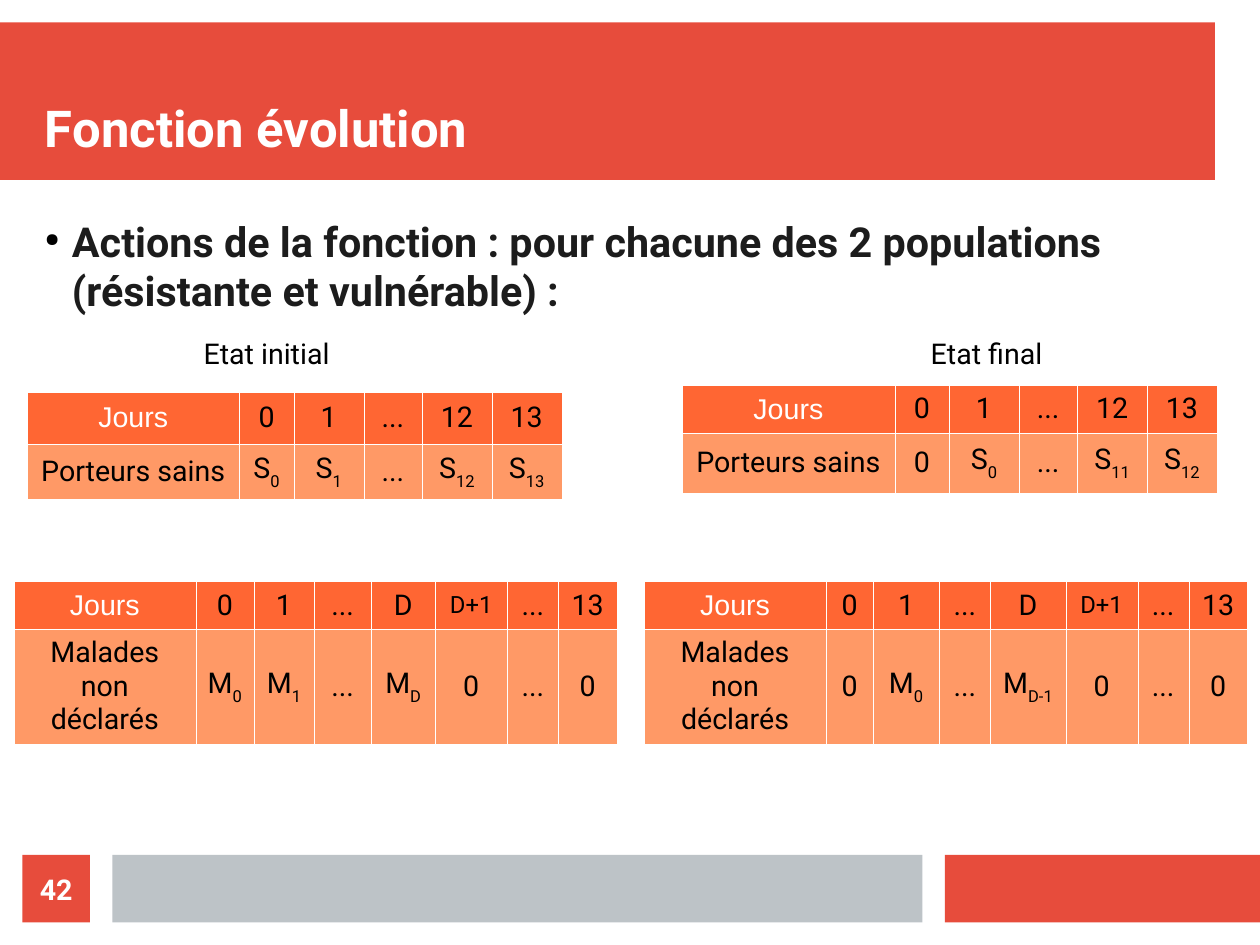
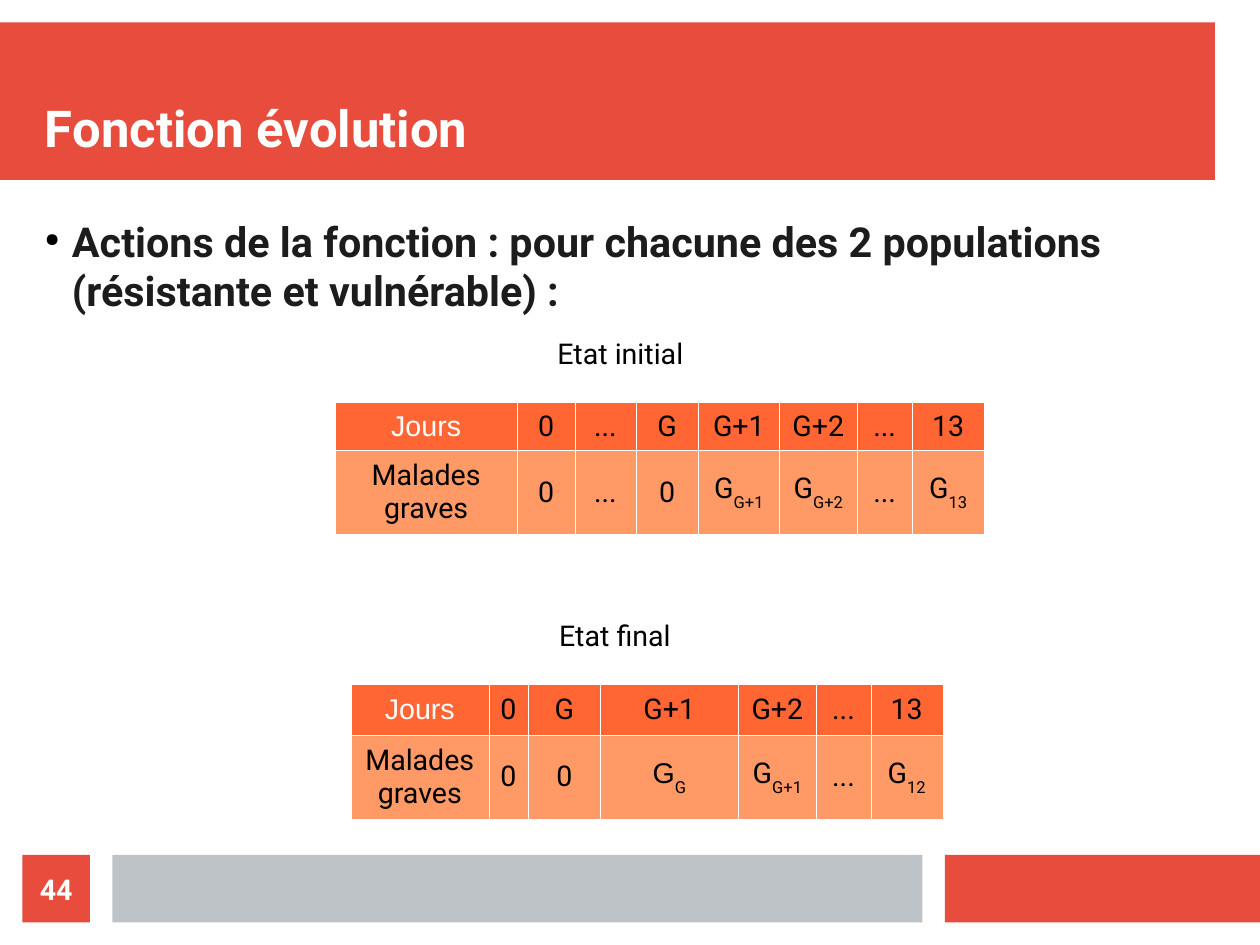
from lxml.etree import SubElement
from pptx import Presentation
from pptx.dml.color import RGBColor
from pptx.enum.shapes import MSO_SHAPE
from pptx.enum.text import MSO_ANCHOR, MSO_AUTO_SIZE, PP_ALIGN
from pptx.oxml.ns import qn
from pptx.util import Cm, Inches, Pt

RED = RGBColor(0xE7, 0x4C, 0x3C)
GREY = RGBColor(0xBD, 0xC3, 0xC7)
ORANGE = RGBColor(0xFF, 0x66, 0x33)
PEACH = RGBColor(0xFF, 0x99, 0x66)
INK = RGBColor(0x1C, 0x1C, 0x1C)
BLACK = RGBColor(0, 0, 0)
WHITE = RGBColor(0xFF, 0xFF, 0xFF)

COLUMNS, ROWS = 28, 21
FOOT_ROW, FOOT_HEIGHT = 19, 1.5
BANDS = [
    (0, 0.5, 27, 3.5, RED),
    (21, FOOT_ROW, 7, FOOT_HEIGHT, RED),
    (2.5, FOOT_ROW, 18, FOOT_HEIGHT, GREY),
]
TITLE = "Fonction évolution"
ACTIONS = "Actions de la fonction : pour chacune des 2 populations (résistante et vulnérable) :"
CARRIER_COLUMNS = [4.72, 1.21, 1.55, 1.3, 1.55, 1.55]
CARRIER_DAYS = ["Jours", "0", "1", "...", "12", "13"]
SICK_DAYS = ["Jours", "0", "1", "...", "D", "D+1", "...", "13"]


class Deck:
    heading_font = "Arial"
    text_font = "Roboto"

    def __init__(self):
        self.presentation = Presentation()
        self.presentation.slide_width = Cm(COLUMNS)
        self.presentation.slide_height = Cm(ROWS)
        self.layout = self.presentation.slide_layouts[5]
        self.slide = None

    def x(self, columns):
        return round(self.presentation.slide_width * columns / COLUMNS)

    def y(self, rows):
        return round(self.presentation.slide_height * rows / ROWS)

    def box(self, left, top, width, height):
        return self.x(left), self.y(top), self.x(width), self.y(height)

    def style(self, paragraph, size, color, bold=False, align=PP_ALIGN.CENTER):
        paragraph.alignment = align
        for run in paragraph.runs:
            run.font.name = self.text_font
            run.font.size = Pt(size)
            run.font.bold = bold
            run.font.color.rgb = color

    def frame(self, shape, text, anchor=MSO_ANCHOR.TOP, margins=(0, 0)):
        frame = shape.text_frame
        frame.text = text
        frame.word_wrap = True
        frame.auto_size = MSO_AUTO_SIZE.NONE
        frame.vertical_anchor = anchor
        frame.margin_left = frame.margin_right = Inches(margins[0])
        frame.margin_top = frame.margin_bottom = Inches(margins[1])
        return frame

    def start_slide(self, number):
        first = self.slide is None
        self.slide = self.presentation.slides.add_slide(self.layout)
        if first:
            self.share_bands()
        self.title()
        self.actions()
        self.page_number(number)

    def share_bands(self):
        for placeholder in list(self.layout.placeholders)[1:]:
            self.layout.shapes.element.remove(placeholder.element)
        bands = [self.band(*band) for band in BANDS]
        for band in bands:
            self.layout.shapes.element.append(band.element)

    def band(self, left, top, width, height, color):
        band = self.slide.shapes.add_shape(
            MSO_SHAPE.RECTANGLE, *self.box(left, top, width, height))
        band.shadow.inherit = False
        band.fill.solid()
        band.fill.fore_color.rgb = color
        band.line.fill.background()
        return band

    def title(self):
        title = self.slide.shapes.title
        title.left, title.top, title.width, title.height = self.box(1, 1, 26, 2.5)
        frame = self.frame(title, TITLE, MSO_ANCHOR.BOTTOM)
        self.style(frame.paragraphs[0], 32, WHITE, True, PP_ALIGN.LEFT)

    def actions(self):
        actions = self.slide.shapes.add_textbox(*self.box(1, 4.8, 25.5, 13))
        paragraph = self.frame(actions, ACTIONS).paragraphs[0]
        properties = paragraph._p.get_or_add_pPr()
        indent = self.x(0.6)
        properties.set("marL", str(indent))
        properties.set("indent", str(-indent))
        bullet_color = SubElement(properties, qn("a:buClr"))
        SubElement(bullet_color, qn("a:srgbClr"), val=str(BLACK))
        SubElement(properties, qn("a:buSzPct"), val="45000")
        SubElement(properties, qn("a:buChar"), char="●")
        paragraph.space_after = Pt(11.4)
        self.style(paragraph, 26, INK, True, PP_ALIGN.LEFT)

    def page_number(self, number):
        badge = self.band(0.5, FOOT_ROW, 1.5, FOOT_HEIGHT, RED)
        frame = self.frame(badge, str(number), MSO_ANCHOR.MIDDLE)
        self.style(frame.paragraphs[0], 18, WHITE, True)

    def state(self, left, top, text):
        state = self.slide.shapes.add_textbox(*self.box(left, top, 7.85, 1.12))
        frame = self.frame(state, text, margins=(0.1, 0.05))
        frame.auto_size = MSO_AUTO_SIZE.SHAPE_TO_FIT_TEXT
        self.style(frame.paragraphs[0], 18, BLACK)

    def table(self, left, top, columns, rows, days, counts):
        place = self.box(left, top, sum(columns), sum(rows))
        table = self.slide.shapes.add_table(2, len(columns), *place).table
        table.first_row = table.horz_banding = False
        for column, width in zip(table.columns, columns):
            column.width = self.x(width)
        for row, height in zip(table.rows, rows):
            row.height = self.y(height)
        for row, texts, color in zip(table.rows, (days, counts), (ORANGE, PEACH)):
            for cell, text in zip(row.cells, texts):
                self.cell(cell, text, color)

    def cell(self, cell, text, color):
        base, _, index = text.partition("_")
        cell.vertical_anchor = MSO_ANCHOR.MIDDLE
        paragraph = cell.text_frame.paragraphs[0]
        paragraph.text = base
        if index:
            paragraph.add_run().text = index
        self.style(paragraph, 18, WHITE if base == "Jours" else BLACK)
        if text in ("Jours", "G_G"):
            paragraph.runs[0].font.name = self.heading_font
        for run in paragraph.runs[1:]:
            run._r.get_or_add_rPr().set("baseline", "-33000")
        properties = cell._tc.get_or_add_tcPr()
        for side in ("a:lnL", "a:lnR", "a:lnT", "a:lnB"):
            border = SubElement(properties, qn(side), w=str(Pt(0.06)))
            paint = SubElement(border, qn("a:solidFill"))
            SubElement(paint, qn("a:srgbClr"), val=str(WHITE))
        cell.fill.solid()
        cell.fill.fore_color.rgb = color

    def sick_table(self, left, columns, counts):
        self.table(left, 12.92, columns, [1.07, 2.39], SICK_DAYS, counts)
        narrow_day = self.slide.shapes[-1].table.cell(0, SICK_DAYS.index("D+1"))
        self.style(narrow_day.text_frame.paragraphs[0], 15, BLACK)


def main():
    deck = Deck()

    deck.start_slide(42)
    deck.table(0.6, 8.71, CARRIER_COLUMNS, [1.16, 1.22], CARRIER_DAYS,
               ["Porteurs sains", "S_0", "S_1", "...", "S_12", "S_13"])
    deck.table(15.16, 8.56, CARRIER_COLUMNS, [1.07, 1.32], CARRIER_DAYS,
               ["Porteurs sains", "0", "S_0", "...", "S_11", "S_12"])
    deck.state(2, 7.33, "Etat initial")
    deck.state(18, 7.33, "Etat final")
    deck.sick_table(0.31, [4.04, 1.29, 1.34, 1.27, 1.42, 1.6, 1.14, 1.3],
                    ["Malades non déclarés", "M_0", "M_1", "...", "M_D", "0", "...", "0"])
    deck.sick_table(14.31, [4.05, 1.04, 1.47, 1.14, 1.67, 1.6, 1.14, 1.3],
                    ["Malades non déclarés", "0", "M_0", "...", "M_D-1", "0", "...", "0"])

    deck.start_slide(44)
    deck.state(9.86, 7.33, "Etat initial")
    deck.state(9.74, 13.6, "Etat final")
    deck.table(7.45, 8.94, [4.04, 1.29, 1.35, 1.39, 1.8, 1.73, 1.22, 1.6],
               [1.07, 1.86],
               ["Jours", "0", "...", "G", "G+1", "G+2", "...", "13"],
               ["Malades graves", "0", "...", "0", "G_G+1", "G_G+2", "...", "G_13"])
    deck.table(7.8, 15.2, [3.06, 0.88, 1.6, 3.07, 1.73, 1.21, 1.6],
               [1.13, 1.88],
               ["Jours", "0", "G", "G+1", "G+2", "...", "13"],
               ["Malades graves", "0", "0", "G_G", "G_G+1", "...", "G_12"])

    deck.presentation.save("out.pptx")


if __name__ == "__main__":
    main()
